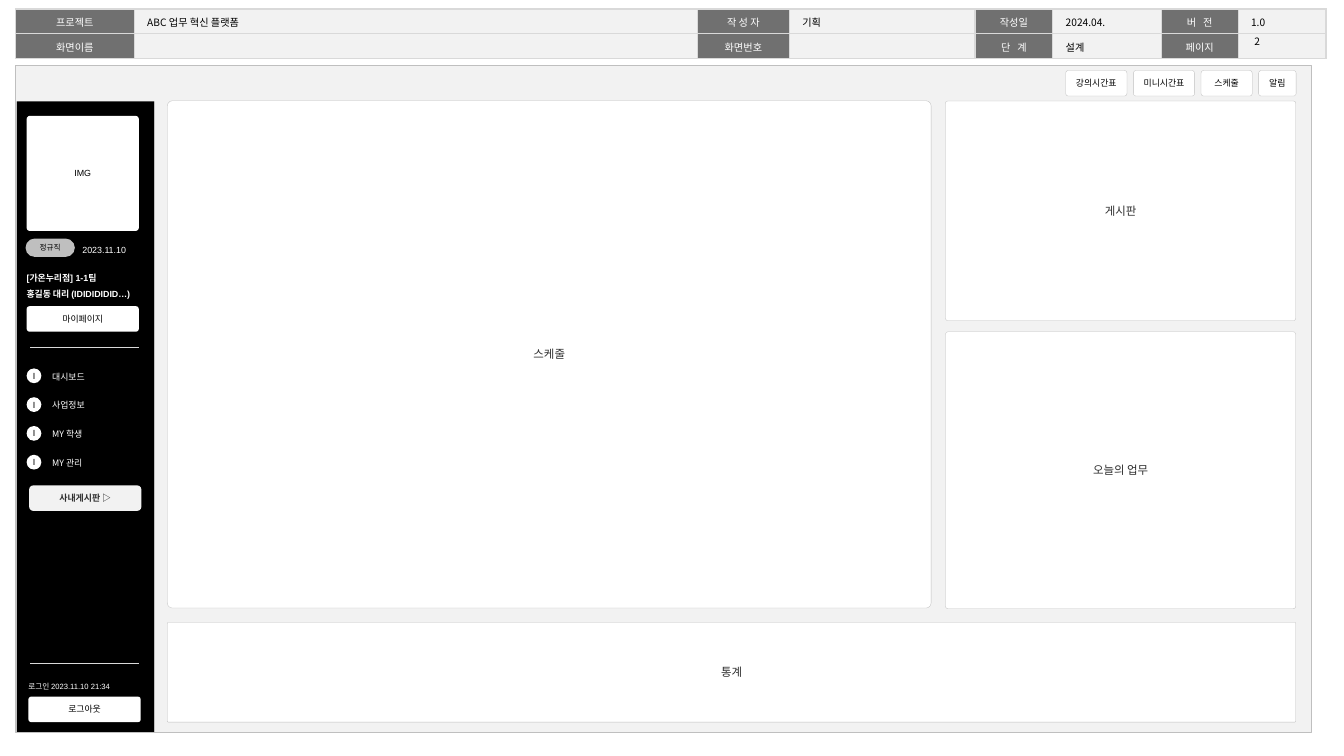
from lxml import etree
from pptx import Presentation
from pptx.dml.color import RGBColor
from pptx.enum.shapes import MSO_SHAPE
from pptx.enum.text import MSO_ANCHOR, PP_ALIGN
from pptx.oxml.ns import qn
from pptx.util import Cm, Pt

RECT, ROUND, OVAL = MSO_SHAPE.RECTANGLE, MSO_SHAPE.ROUNDED_RECTANGLE, MSO_SHAPE.OVAL
LEFT, CENTER = PP_ALIGN.LEFT, PP_ALIGN.CENTER
TOP, MIDDLE = MSO_ANCHOR.TOP, MSO_ANCHOR.MIDDLE
PLAIN_TABLE = "{2D5ABB26-0587-4C30-8999-92F81FD0307C}"
KOREAN = "Noto Sans CJK KR"
BLACK, WHITE, INK = "000000", "FFFFFF", "2E2E2E"
PALE, RULE, EDGE, LABEL = "F2F2F2", "D9D9D9", "BFBFBF", "707070"


def color(value):
    return RGBColor.from_string(value)


def write(tf, text, size=7, font="Arial", fg=BLACK, bold=False, align=CENTER,
          spacing=None, tracking=None):
    for i, line in enumerate(text.split("\n")):
        p = tf.add_paragraph() if i else tf.paragraphs[0]
        p.alignment = align
        if spacing:
            p.line_spacing = spacing
        if not line:
            etree.SubElement(p._p, qn("a:endParaRPr"), sz=str(size * 100))
            continue
        r = p.add_run()
        r.text = line
        r.font.size, r.font.name, r.font.bold = Pt(size), font, bold
        r.font.color.rgb = color(fg)
        rpr = r._r.get_or_add_rPr()
        etree.SubElement(rpr, qn("a:ea"), typeface=KOREAN)
        if tracking:
            rpr.set("spc", str(tracking))


def set_insets(target, insets):
    target.margin_left, target.margin_top, target.margin_right, target.margin_bottom = map(Cm, insets)


class Screen:
    def __init__(self, slide):
        self.s = slide

    def shape(self, kind, box, fill=WHITE, line=None, line_width=0.25, radius=None,
              text="", insets=(0.1, 0, 0.1, 0), wrap=True, **fmt):
        sp = self.s.shapes.add_shape(kind, *map(Cm, box))
        sp.shadow.inherit = False
        if radius is not None:
            sp.adjustments[0] = radius
        if fill:
            sp.fill.solid()
            sp.fill.fore_color.rgb = color(fill)
        else:
            sp.fill.background()
        if line:
            sp.line.color.rgb = color(line)
            sp.line.width = Pt(line_width)
        else:
            sp.line.fill.background()
        if text:
            tf = sp.text_frame
            tf.word_wrap, tf.vertical_anchor = wrap, MIDDLE
            set_insets(tf, insets)
            write(tf, text, **fmt)
        return sp

    def text(self, box, text, insets=(0, 0.13, 0, 0.13), anchor=TOP, **fmt):
        tf = self.s.shapes.add_textbox(*map(Cm, box)).text_frame
        tf.word_wrap, tf.vertical_anchor = True, anchor
        set_insets(tf, insets)
        write(tf, text, align=LEFT, **fmt)

    def table(self, left, top, cols, rows):
        box = (left, top, sum(cols), sum(rows))
        tbl = self.s.shapes.add_table(len(rows), len(cols), *map(Cm, box)).table
        tbl.first_row = tbl.horz_banding = False
        tbl._tbl.tblPr.find(qn("a:tableStyleId")).text = PLAIN_TABLE
        for col, width in zip(tbl.columns, cols):
            col.width = Cm(width)
        for row, height in zip(tbl.rows, rows):
            row.height = Cm(height)
        return tbl

    def cell(self, cell, text, fill, insets, anchor=TOP, border=EDGE, width=0.25,
             sides="LRTB", **fmt):
        cell.fill.solid()
        cell.fill.fore_color.rgb = color(fill)
        cell.vertical_anchor = anchor
        set_insets(cell, insets)
        write(cell.text_frame, text, **fmt)
        tcpr = cell._tc.get_or_add_tcPr()
        for i, side in enumerate(sides):
            ln = etree.Element(qn(f"a:ln{side}"), w=str(Pt(width)))
            paint = etree.SubElement(ln, qn("a:solidFill"))
            etree.SubElement(paint, qn("a:srgbClr"), val=border)
            tcpr.insert(i, ln)


def add_header(screen):
    rows = [
        ["프로젝트", "ABC 업무 혁신 플랫폼", "작 성 자", "기획", "작성일", "2024.04.", "버 전", "1.0"],
        ["화면이름", "", "화면번호", "", "단 계", "설계", "페이지", ""],
    ]
    tbl = screen.table(0.43, 0.25, [3.3, 15.65, 2.55, 5.16, 2.16, 3.02, 2.13, 2.44], [0.62] * 2)
    for i, row in enumerate(rows):
        for j, text in enumerate(row):
            label = j % 2 == 0
            screen.cell(tbl.cell(i, j), text, LABEL if label else PALE,
                        (0.36, 0.13, 0.36, 0.13), border=RULE, width=1,
                        size=8, font=KOREAN, fg=WHITE if label else BLACK,
                        align=CENTER if label else LEFT, spacing=1.05,
                        tracking=180 if text in ("버 전", "단 계") else None)


def add_menu(screen):
    items = ["", "대시보드", "사업정보", "MY 학생", "MY 관리"] + [""] * 6
    tbl = screen.table(0.84, 9.65, [3.02], [0.41] + [0.8] * 9 + [1.18])
    edges = {0: "T", len(items) - 1: "B"}
    for i, text in enumerate(items):
        screen.cell(tbl.cell(i, 0), text, BLACK, (0.61, 0.1, 0, 0.1), MIDDLE,
                    border=RULE, sides=edges.get(i, ""), font=KOREAN, fg=WHITE,
                    align=LEFT, size=7 if text else 4)
    for i in range(4):
        screen.shape(OVAL, (0.74, 10.24 + 0.8 * i, 0.41, 0.41), text="I", insets=(0, 0, 0, 0))


def add_sidebar(screen, frame):
    tbl = screen.table(0.46, 1.85, [3.81], [18.49])
    screen.cell(tbl.cell(0, 0), "", BLACK, (0, 0, 0, 0))
    screen.shape(ROUND, (0.74, 3.22, 3.12, 3.2), radius=0.03, text="IMG")
    screen.text((0.74, 7.29, 3.38, 1.14), "[가온누리점] 1-1팀\n홍길동 대리 (IDIDIDIDID…)",
                fg=WHITE, bold=True, spacing=1.5)
    screen.shape(RECT, (0.45, 1.83, 3.89, 0.99), PALE)
    screen.shape(ROUND, (0.74, 8.51, 3.12, 0.71), radius=0.12, text="마이페이지")
    screen.shape(ROUND, (0.79, 19.36, 3.12, 0.71), radius=0.11, text="로그아웃")
    screen.text((0.79, 18.69, 3.38, 0.64), "로그인 2023.11.10 21:34", size=6, fg=WHITE, spacing=1.5)
    screen.shape(ROUND, (0.71, 6.63, 1.37, 0.51), EDGE, radius=0.5, text="정규직", size=6)
    screen.text((2.29, 6.53, 1.98, 0.71), "2023.11.10", fg=WHITE, spacing=1.5)
    screen.shape(RECT, frame, None, EDGE, 0.75)
    add_menu(screen)
    screen.shape(ROUND, (0.81, 13.49, 3.12, 0.71), PALE, text="사내게시판 ▷", fg=INK, bold=True)


def add_panels(screen):
    panels = [
        ("스케줄", (4.65, 2.8, 21.22, 14.1)),
        ("게시판", (26.27, 2.81, 9.73, 6.1)),
        ("오늘의 업무", (26.27, 9.22, 9.73, 7.7)),
        ("통계", (4.65, 17.3, 31.35, 2.77)),
    ]
    for text, box in panels:
        screen.shape(ROUND, box, line=EDGE, radius=0.01, text=text, size=9, fg=INK)


def add_shortcuts(screen):
    left, buttons = 29.61, []
    for text, width in [("강의시간표", 1.7), ("미니시간표", 1.7), ("스케줄", 1.42), ("알림", 1.04)]:
        buttons.append(screen.shape(ROUND, (left, 1.96, width, 0.71), line=EDGE,
                                    radius=0.1, text=text, wrap=False))
        left += width + 0.18
    screen.s.shapes.add_group_shape(buttons)


def main():
    prs = Presentation()
    prs.slide_width, prs.slide_height = Cm(37.34), Cm(21.01)
    screen = Screen(prs.slides.add_slide(prs.slide_layouts[6]))
    frame = (0.43, 1.82, 36.02, 18.54)
    add_header(screen)
    screen.shape(RECT, frame, PALE)
    add_sidebar(screen, frame)
    screen.text((34.6, 0.95, 1.83, 0.41), "2", (0.25, 0.13, 0.25, 0.13), MIDDLE, size=8, font=KOREAN)
    add_panels(screen)
    add_shortcuts(screen)
    prs.save("out.pptx")


if __name__ == "__main__":
    main()
